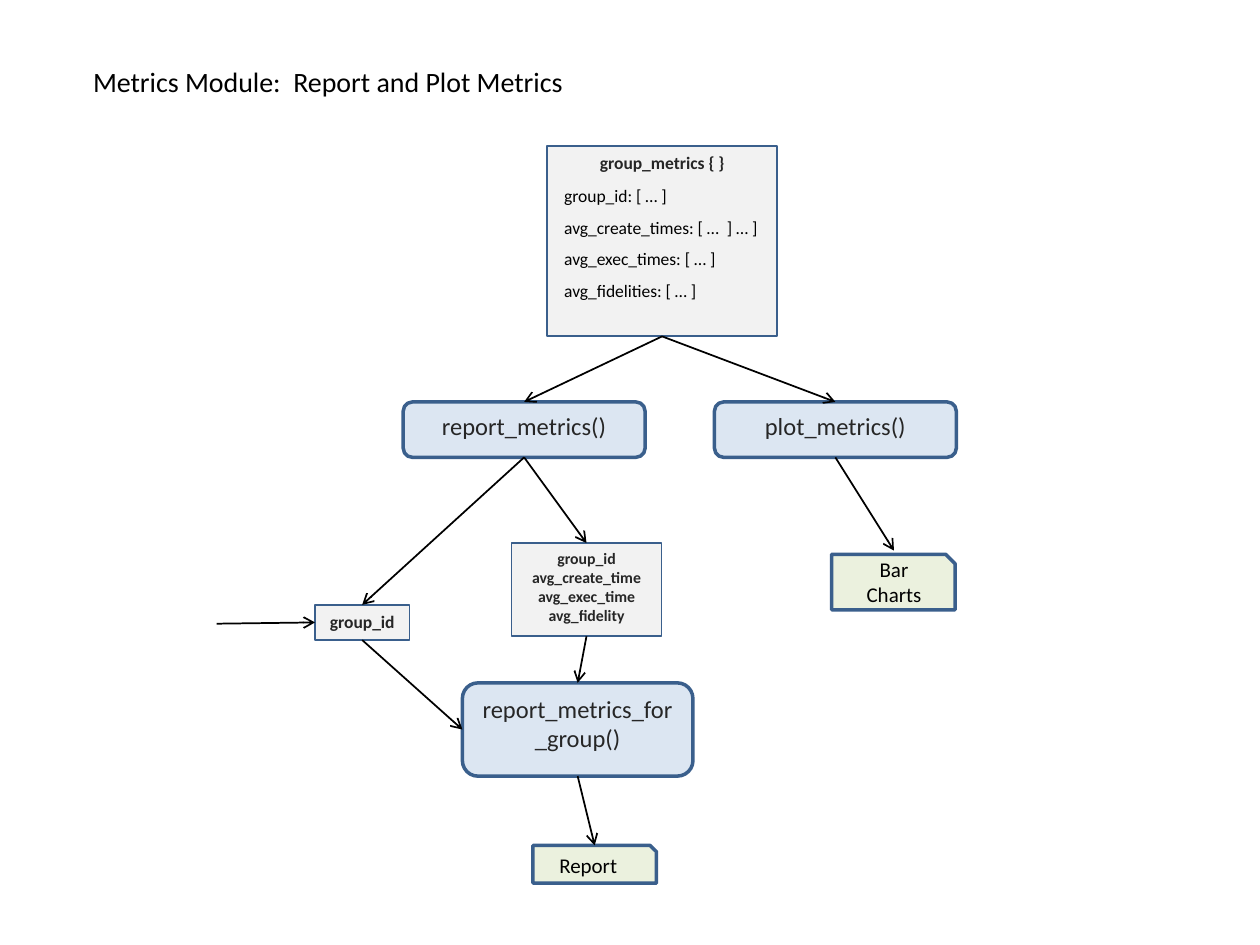
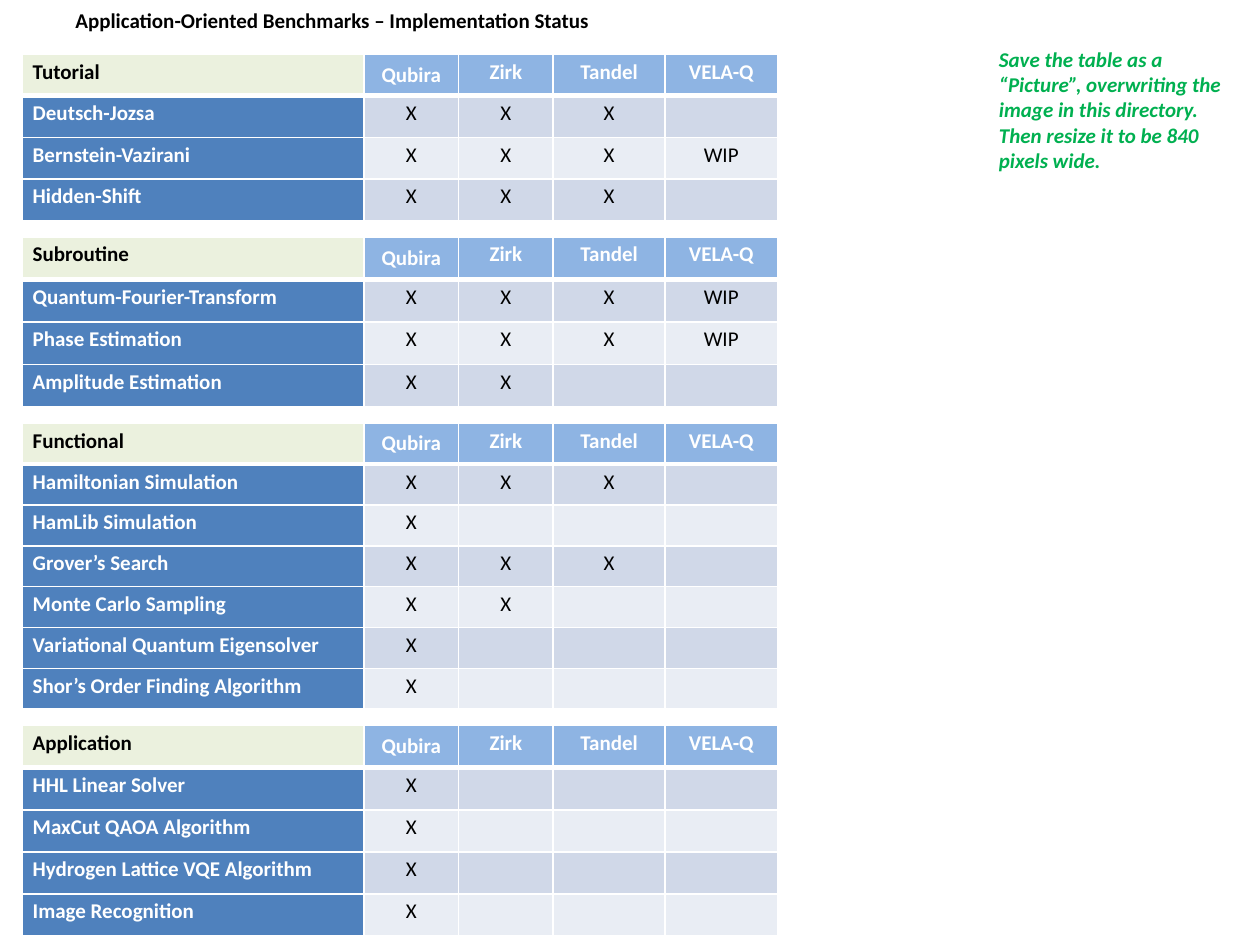
from lxml.etree import SubElement
from pptx import Presentation
from pptx.dml.color import RGBColor
from pptx.enum.shapes import MSO_CONNECTOR, MSO_SHAPE
from pptx.enum.text import MSO_ANCHOR, PP_ALIGN
from pptx.oxml.ns import qn
from pptx.util import Inches, Pt

FONT = "Calibri"
BLACK, WHITE, DARK, GREEN = "000000", "FFFFFF", "262626", "00B050"
OUTLINE, DATA, FUNCTION, OUTPUT = "3A5F8C", "F2F2F2", "DCE6F2", "EBF1DE"
PLATFORM, BENCHMARK, BANDS = "8EB4E3", "4F81BD", ("D0D8E8", "E9EDF4")
TOP, LEFT, BOTTOM = 0, 1, 2

STYLES = {
    "data": (MSO_SHAPE.RECTANGLE, DATA, 1, dict(size=10, color=DARK, bold=True)),
    "record": (MSO_SHAPE.RECTANGLE, DATA, 1, dict(size=9, color=DARK, bold=True)),
    "function": (MSO_SHAPE.ROUNDED_RECTANGLE, FUNCTION, 2, dict(size=14, color=DARK)),
    "output": (MSO_SHAPE.SNIP_1_RECTANGLE, OUTPUT, 2, {}),
}
NODES = {
    "metrics": ("data", (4.34, 1.16, 1.83, 1.51), ["group_metrics { }"]),
    "report": ("function", (3.2, 3.19, 1.92, 0.44), ["report_metrics()"]),
    "plot": ("function", (5.67, 3.19, 1.92, 0.44), ["plot_metrics()"]),
    "group": ("data", (2.5, 4.8, 0.75, 0.28), ["group_id"]),
    "averages": ("record", (4.06, 4.31, 1.19, 0.74),
                 ["group_id", "avg_create_time", "avg_exec_time", "avg_fidelity"]),
    "group_report": ("function", (3.67, 5.42, 1.83, 0.74), ["report_metrics_for_group()"]),
    "report_file": ("output", (4.23, 6.71, 0.98, 0.3), []),
    "chart_file": ("output", (6.6, 4.4, 0.98, 0.44), []),
}
METRIC_FIELDS = ["group_id: [ … ]", "avg_create_times: [ …  ] … ]",
                 "avg_exec_times: [ … ]", "avg_fidelities: [ … ]"]
ARROWS = [
    ("metrics", "report", TOP), ("metrics", "plot", TOP),
    ("report", "averages", TOP), ("report", "group", TOP),
    ("averages", "group_report", TOP), ("group", "group_report", LEFT),
    ("group_report", "report_file", TOP), ("plot", "chart_label", TOP),
]

PLATFORMS = ["Qubira", "Zirk", "Tandel", "VELA-Q"]
COLUMNS = [2.71, 0.75, 0.75, 0.89, 0.89]
TABLE_LEFT, TABLE_TOP, TABLE_GAP = 0.18, 0.43, 0.13
TABLES = [
    ("Tutorial", 1.32, [
        ("Deutsch-Jozsa", "X", "X", "X"),
        ("Bernstein-Vazirani", "X", "X", "X", "WIP"),
        ("Hidden-Shift", "X", "X", "X")]),
    ("Subroutine", 1.35, [
        ("Quantum-Fourier-Transform", "X", "X", "X", "WIP"),
        ("Phase Estimation", "X", "X", "X", "WIP"),
        ("Amplitude Estimation", "X", "X")]),
    ("Functional", 2.27, [
        ("Hamiltonian Simulation", "X", "X", "X"),
        ("HamLib Simulation", "X"),
        ("Grover’s Search", "X", "X", "X"),
        ("Monte Carlo Sampling", "X", "X"),
        ("Variational Quantum Eigensolver", "X"),
        ("Shor’s Order Finding Algorithm", "X")]),
    ("Application", 1.67, [
        ("HHL Linear Solver", "X"),
        ("MaxCut QAOA Algorithm", "X"),
        ("Hydrogen Lattice VQE Algorithm", "X"),
        ("Image Recognition", "X")]),
]


def inches(lengths):
    return [Inches(length) for length in lengths]


def paint(target, color):
    target.solid()
    target.fore_color.rgb = RGBColor.from_string(color)


def write(frame, lines, size=12, color=BLACK, bold=False, italic=False, align=PP_ALIGN.LEFT):
    frame.word_wrap = True
    for index, line in enumerate(lines):
        paragraph = frame.add_paragraph() if index else frame.paragraphs[0]
        paragraph.alignment = align
        run = paragraph.add_run()
        run.text = line
        font = run.font
        font.name, font.size, font.bold, font.italic = FONT, Pt(size), bold, italic
        font.color.rgb = RGBColor.from_string(color)


def add_text(slide, box, lines, **style):
    shape = slide.shapes.add_textbox(*inches(box))
    write(shape.text_frame, lines, **style)
    return shape


def add_node(slide, kind, box, lines):
    preset, fill, width, style = STYLES[kind]
    shape = slide.shapes.add_shape(preset, *inches(box))
    shape.shadow.inherit = False
    paint(shape.fill, fill)
    paint(shape.line.fill, OUTLINE)
    shape.line.width = Pt(width)
    shape.text_frame.vertical_anchor = MSO_ANCHOR.TOP
    write(shape.text_frame, lines, align=PP_ALIGN.CENTER, **style)
    return shape


def add_arrow(slide, target, site, source=None, start=(0, 0)):
    arrow = slide.shapes.add_connector(MSO_CONNECTOR.STRAIGHT, *inches(start * 2))
    if source is not None:
        arrow.begin_connect(source, BOTTOM)
    arrow.end_connect(target, site)
    paint(arrow.line.fill, BLACK)
    arrow.line.width = Pt(1)
    SubElement(arrow.line._get_or_add_ln(), qn("a:tailEnd"), type="arrow")
    SubElement(arrow._element.spPr, qn("a:effectLst"))


def add_border(cell, side, width):
    line = SubElement(cell._tc.get_or_add_tcPr(), qn(f"a:ln{side}"), w=str(Pt(width)))
    fill = SubElement(line, qn("a:solidFill"))
    SubElement(fill, qn("a:srgbClr"), val=WHITE)


def cell_colors(row, column):
    if row == 0:
        return (PLATFORM, WHITE) if column else (OUTPUT, BLACK)
    return (BANDS[(row - 1) % 2], BLACK) if column else (BENCHMARK, WHITE)


def fill_cell(cell, row, column, text):
    cell.margin_left = cell.margin_right = Inches(0.08)
    cell.margin_top = cell.margin_bottom = Inches(0.04)
    cell.vertical_anchor = MSO_ANCHOR.MIDDLE if (row, column) == (0, 1) else MSO_ANCHOR.TOP
    for side in "LRTB":
        header_rule = (row, side) in ((0, "B"), (1, "T"))
        add_border(cell, side, 3 if header_rule else 1)
    fill, color = cell_colors(row, column)
    paint(cell.fill, fill)
    if text:
        write(cell.text_frame, [text], color=color, bold=row == 0 or column == 0,
              align=PP_ALIGN.CENTER if column else PP_ALIGN.LEFT)
    else:
        SubElement(cell.text_frame.paragraphs[0]._p, qn("a:endParaRPr"), sz="1200")


def add_status_table(slide, top, height, rows):
    box = inches((TABLE_LEFT, top, sum(COLUMNS), height))
    table = slide.shapes.add_table(len(rows), len(COLUMNS), *box).table
    for column, width in zip(table.columns, COLUMNS):
        column.width = Inches(width)
    for r, values in enumerate(rows):
        table.rows[r].height = Inches(height / len(rows))
        for c in range(len(COLUMNS)):
            fill_cell(table.cell(r, c), r, c, values[c] if c < len(values) else "")


def build_flow(slide):
    add_text(slide, (0.64, 0.46, 5.17, 0.37), ["Metrics Module:  Report and Plot Metrics"], size=16)
    nodes = {name: add_node(slide, *node) for name, node in NODES.items()}
    for index, field in enumerate(METRIC_FIELDS):
        add_text(slide, (4.38, 1.42 + 0.25 * index, 1.74, 0.27), [field], size=10)
    add_text(slide, (4.34, 6.72, 0.71, 0.3), ["Report"])
    nodes["chart_label"] = add_text(slide, (6.74, 4.37, 0.71, 0.5), ["Bar", "Charts"],
                                    align=PP_ALIGN.CENTER)
    for source, target, site in ARROWS:
        add_arrow(slide, nodes[target], site, nodes[source])
    add_arrow(slide, nodes["group"], LEFT, start=(1.72, 4.95))


def build_status(slide):
    add_text(slide, (0.5, 0.01, 7.05, 0.3),
             ["Application-Oriented Benchmarks – Implementation Status"], bold=True)
    add_text(slide, (7.83, 0.32, 2.17, 1.11),
             ["Save the table as a “Picture”, overwriting the image in this directory.  "
              "Then resize it to be 840 pixels wide."], color=GREEN, bold=True, italic=True)
    top = TABLE_TOP
    for category, height, benchmarks in TABLES:
        add_status_table(slide, top, height, [(category, *PLATFORMS), *benchmarks])
        top += height + TABLE_GAP


def main():
    presentation = Presentation()
    presentation.slide_width, presentation.slide_height = inches((10, 7.5))
    for build in (build_flow, build_status):
        build(presentation.slides.add_slide(presentation.slide_layouts[6]))
    presentation.save("out.pptx")


if __name__ == "__main__":
    main()
